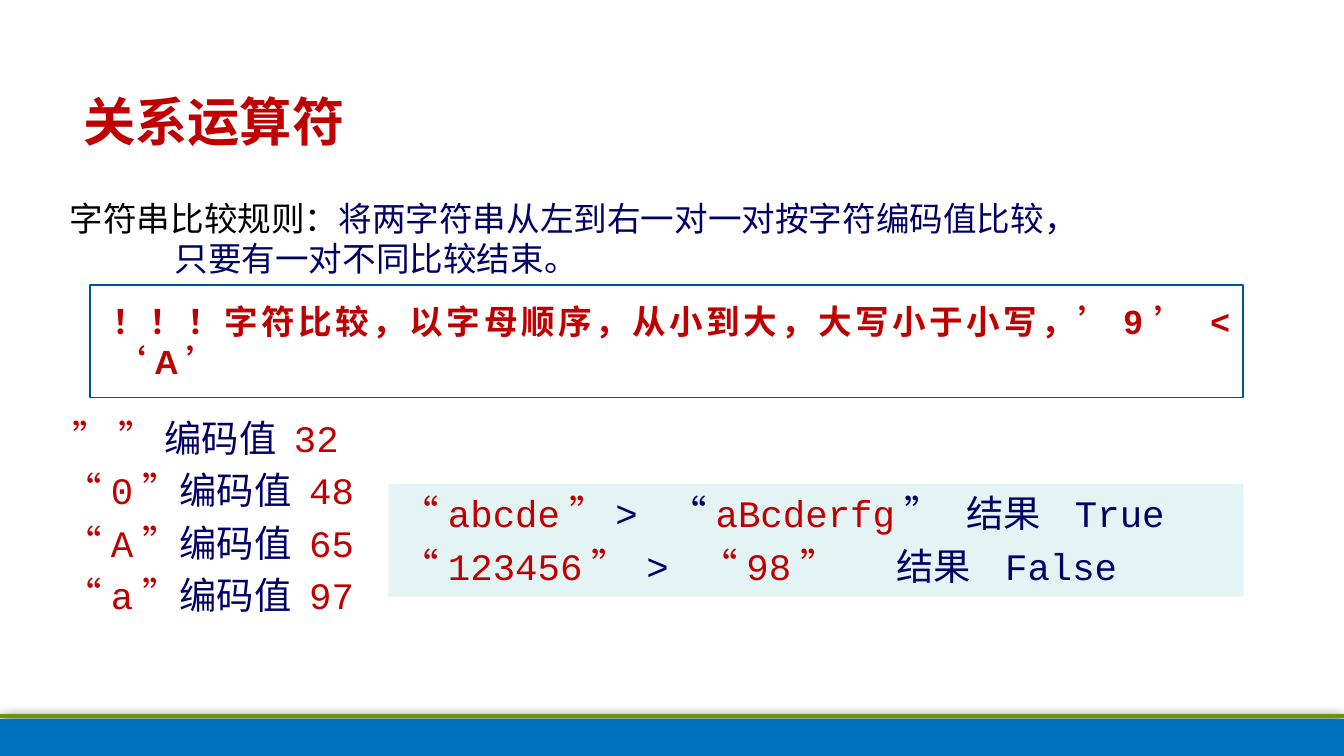
import pptx
import pptx.util
import pptx.dml.color
import pptx.enum.lang
import pptx.enum.shapes
import pptx.enum.text
import pptx.oxml
import pptx.oxml.ns
from pptx.util import Inches

THEME = {
    "red": "C00000", "navy": "000066", "black": "000000", "white": "FFFFFF",
    "band": "0070C0", "green": "669900", "pale": "E4F3F4", "border": "005595",
    "title_size": 28, "rule_size": 18, "code_size": 20,
    "mono": "Courier New", "sans": "Arial",
}
A_NS = pptx.oxml.ns.nsdecls("a")
ANCHOR = pptx.enum.text.MSO_ANCHOR
ALIGN = pptx.enum.text.PP_ALIGN
FIT = pptx.enum.text.MSO_AUTO_SIZE


def rgb(name):
    return pptx.dml.color.RGBColor.from_string(THEME[name])


def write(paragraph, runs, size, face="mono", bold=False, indent=0, tabs=(), **formats):
    """Fill a paragraph with (text, colour) runs; lengths are in inches."""
    props = paragraph._p.get_or_add_pPr()
    if tabs:  # an explicit zero indent would make LibreOffice drop the stops
        stops = "".join(f'<a:tab pos="{Inches(stop)}" algn="l"/>' for stop in tabs)
        props.append(pptx.oxml.parse_xml(f"<a:tabLst {A_NS}>{stops}</a:tabLst>"))
    else:
        props.set("marL", str(Inches(indent)))
        props.set("indent", "0")
        props.append(pptx.oxml.parse_xml(f"<a:buNone {A_NS}/>"))
    settings = {"alignment": ALIGN.LEFT, "space_before": pptx.util.Pt(0), **formats}
    for name, value in settings.items():
        setattr(paragraph, name, value)
    for text, color in runs:
        run = paragraph.add_run()
        run.text = text
        font_settings = {
            "size": pptx.util.Pt(THEME[size]), "name": THEME[face], "bold": bold,
            "language_id": pptx.enum.lang.MSO_LANGUAGE_ID.SIMPLIFIED_CHINESE,
        }
        for name, value in font_settings.items():
            setattr(run.font, name, value)
        run.font.color.rgb = rgb(color)


# Widescreen 16:9 slide
deck = pptx.Presentation()
deck.slide_width = Inches(10)
deck.slide_height = Inches(10) * 9 // 16
slide = deck.slides.add_slide(deck.slide_layouts[1])
shapes = slide.shapes
RECT = pptx.enum.shapes.MSO_SHAPE.RECTANGLE

# Footer band with a soft shadow and a green edge
band = shapes.add_shape(RECT, Inches(0), Inches(5.35), Inches(10), Inches(0.27))
band.fill.solid()
band.fill.fore_color.rgb = rgb("band")
band.line.fill.background()
band.height = deck.slide_height - band.top
band._element.spPr.append(pptx.oxml.parse_xml(
    f'<a:effectLst {A_NS}><a:outerShdw blurRad="{pptx.util.Pt(8.5)}" '
    f'dist="{pptx.util.Pt(1)}" dir="5400000" algn="t" rotWithShape="0">'
    f'<a:srgbClr val="{THEME["black"]}"/></a:outerShdw></a:effectLst>'))

edge = shapes.add_connector(pptx.enum.shapes.MSO_CONNECTOR.STRAIGHT,
                            Inches(0), Inches(5.33), Inches(10), Inches(5.33))
edge.line.color.rgb = rgb("green")
edge.line.width = pptx.util.Pt(2)
edge._element.spPr.append(pptx.oxml.parse_xml(f"<a:effectLst {A_NS}/>"))

# Text areas
title = shapes.title
codes = slide.placeholders[1]
rule = shapes.add_textbox(Inches(0.42), Inches(1.27), Inches(9.07), Inches(0.86))
examples = shapes.add_shape(RECT, Inches(2.89), Inches(3.6), Inches(6.36), Inches(0.84))
order_note = shapes.add_shape(RECT, Inches(0.67), Inches(2.12), Inches(8.58), Inches(0.84))

for area, place in ((title, (0.52, 0.61, 9, 0.58)), (codes, (0.38, 3.04, 2.52, 2.05))):
    for side, length in zip(("left", "top", "width", "height"), place):
        setattr(area, side, Inches(length))

for area, anchor, fit in (
    (title, ANCHOR.BOTTOM, FIT.NONE),
    (codes, ANCHOR.TOP, FIT.SHAPE_TO_FIT_TEXT),
    (rule, ANCHOR.TOP, FIT.SHAPE_TO_FIT_TEXT),
    (examples, ANCHOR.TOP, FIT.SHAPE_TO_FIT_TEXT),
    (order_note, ANCHOR.MIDDLE, FIT.NONE),
):
    frame_settings = {"word_wrap": True, "vertical_anchor": anchor, "auto_size": fit}
    for name, value in frame_settings.items():
        setattr(area.text_frame, name, value)

for panel, fill in ((examples, "pale"), (order_note, "white")):
    panel.shadow.inherit = False
    panel.fill.solid()
    panel.fill.fore_color.rgb = rgb(fill)
examples.line.fill.background()
order_note.line.color.rgb = rgb("border")
order_note.line.width = pptx.util.Pt(0.75)

# Title
write(title.text_frame.paragraphs[0], [("关系运算符", "red")], "title_size",
      bold=True, line_spacing=0.95)

# Comparison rule
write(rule.text_frame.paragraphs[0],
      [("字符串比较规则：", "black"),
       ("将两字符串从左到右一对一对按字符编码值比较，", "navy")],
      "rule_size", line_spacing=1.5)
write(rule.text_frame.add_paragraph(), [("只要有一对不同比较结束。", "navy")],
      "rule_size", indent=0.78)

# Ordering note
write(order_note.text_frame.paragraphs[0],
      [("！！！字符比较，以字母顺序，从小到大，大写小于小写，’9’ < ‘A’", "red")],
      "rule_size", face="sans", bold=True, indent=0.07, alignment=ALIGN.JUSTIFY)

# Character codes and worked examples
code_lines = [
    ([(char, "red"), ("编码值 ", "navy"), (value, "red")], ())
    for char, value in ((" ” ” ", "32"), ("“0”", "48"), ("“A”", "65"), ("“a”", "97"))
]
example_lines = [
    ([("“abcde”", "red"), ("> “", "navy"), ("aBcderfg", "red"),
      ("”\t结果\tTrue", "navy")], (4.2, 5.01)),
    ([("“123456”", "red"), (" > ", "navy"), ("“98”", "red"),
      ("\t结果\tFalse", "navy")], (3.68, 4.49)),
]
for area, lines in ((codes, code_lines), (examples, example_lines)):
    frame = area.text_frame
    for number, (runs, tabs) in enumerate(lines):
        paragraph = frame.add_paragraph() if number else frame.paragraphs[0]
        write(paragraph, runs, "code_size", tabs=tabs,
              space_before=pptx.util.Pt(4 if number else 0))

deck.save("out.pptx")
